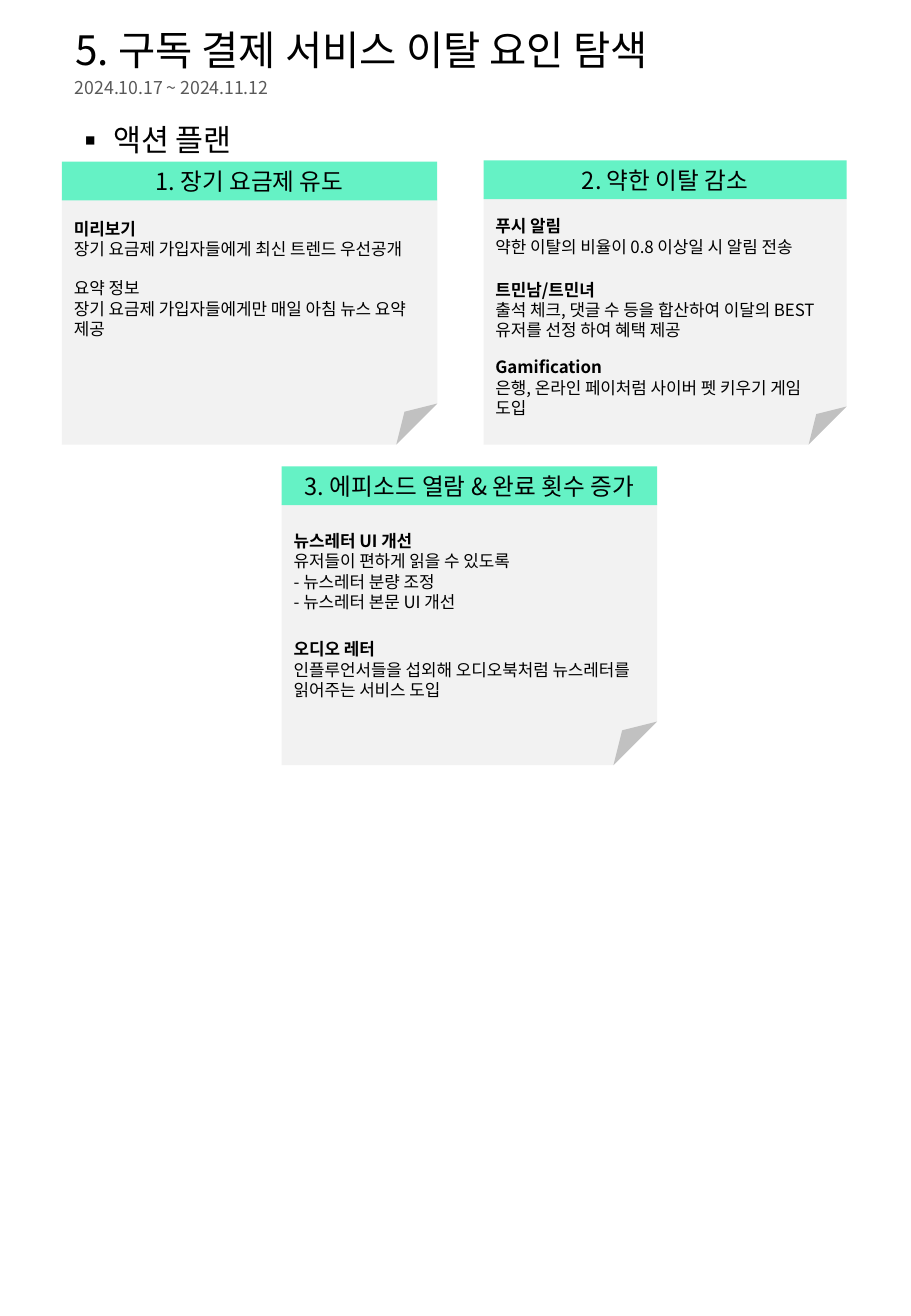
from collections import namedtuple
from dataclasses import dataclass

from lxml import etree
from pptx import Presentation
from pptx.dml.color import RGBColor
from pptx.enum import shapes, text
from pptx.oxml import ns
from pptx.util import Pt

Box = namedtuple("Box", "left top width height")
Note = namedtuple("Note", "offset heading lines bold", defaults=(True,))
Card = namedtuple("Card", "box title notes fold", defaults=(16667,))


@dataclass(frozen=True)
class Theme:
    font: str = "Noto Sans CJK KR"
    ink: str = "000000"
    muted: str = "595959"
    accent: str = "65F2C5"
    paper: str = "F2F2F2"
    title: float = 24
    section: float = 18
    header: float = 14
    date: float = 10.5
    note: float = 10


THEME = Theme()
HEADER_HEIGHT = 23

CARDS = [
    Card(Box(36.7, 95.8, 222.5, 167.7), "1. 장기 요금제 유도", [
        Note(30.2, "미리보기", ["장기 요금제 가입자들에게 최신 트렌드 우선공개"]),
        Note(65.5, "요약 정보",
             ["장기 요금제 가입자들에게만 매일 아침 뉴스 요약 제공"], False),
    ]),
    Card(Box(286.6, 95, 215.3, 168.5), "2. 약한 이탈 감소", [
        Note(29.5, "푸시 알림", ["약한 이탈의 비율이 0.8 이상일 시 알림 전송"]),
        Note(67, "트민남/트민녀",
             ["출석 체크, 댓글 수 등을 합산하여 이달의 BEST 유저를 선정 하여 혜택 제공"]),
        Note(113, "Gamification",
             ["은행, 온라인 페이처럼 사이버 펫 키우기 게임 도입"]),
    ], 15400),
    Card(Box(167, 276.5, 222.5, 177.1), "3. 에피소드 열람 & 완료 횟수 증가", [
        Note(34.6, "뉴스레터 UI 개선",
             ["유저들이 편하게 읽을 수 있도록", "- 뉴스레터 분량 조정",
              "- 뉴스레터 본문 UI 개선"]),
        Note(98.6, "오디오 레터",
             ["인플루언서들을 섭외해 오디오북처럼 뉴스레터를 읽어주는 서비스 도입"]),
    ]),
]


def in_points(box):
    return [Pt(length) for length in box]


def place(shape, box):
    shape.left, shape.top, shape.width, shape.height = in_points(box)


def style(para, size, color=THEME.ink, bold=False, align=text.PP_ALIGN.LEFT):
    """Format a paragraph and its runs, for Latin and Korean letters alike."""
    para.alignment = align
    para.space_before = Pt(0)
    for span in para.runs:
        span.font.name = THEME.font
        span.font.size = Pt(size)
        span.font.bold = bold
        span.font.color.rgb = RGBColor.from_string(color)
        east_asian = etree.SubElement(span.font._element, ns.qn("a:ea"))
        east_asian.set("typeface", THEME.font)


def add_bullet(para, char, indent):
    properties = para._p.get_or_add_pPr()
    properties.set("marL", str(Pt(indent)))
    properties.set("indent", str(-Pt(indent)))
    for tag, name, value in (("a:buFont", "typeface", THEME.font),
                             ("a:buChar", "char", char)):
        etree.SubElement(properties, ns.qn(tag)).set(name, value)


def set_fold(sheet, fold):
    """Set the size of the folded corner, in 1/100000 of the shorter side."""
    geometry = sheet._element.spPr.find(ns.qn("a:prstGeom"))
    guides = geometry.find(ns.qn("a:avLst"))
    if guides is None:
        guides = etree.SubElement(geometry, ns.qn("a:avLst"))
    guide = etree.SubElement(guides, ns.qn("a:gd"))
    guide.set("name", "adj")
    guide.set("fmla", f"val {fold}")


def add_panel(page, kind, box, color):
    panel = page.shapes.add_shape(kind, *in_points(box))
    panel.shadow.inherit = False
    panel.fill.solid()
    panel.fill.fore_color.rgb = RGBColor.from_string(color)
    panel.line.fill.background()
    return panel


def add_text(page, box, lines):
    frame = page.shapes.add_textbox(*in_points(box)).text_frame
    frame.word_wrap = True
    frame.text = "\n".join(lines)
    return frame.paragraphs


def add_heading(page, box):
    """Fill the top of the page: title, date and section line."""
    title = page.shapes.title
    place(title, box._replace(height=62))
    title.text_frame.text = "5. 구독 결제 서비스 이탈 요인 탐색"
    title.text_frame.vertical_anchor = text.MSO_ANCHOR.MIDDLE
    title.text_frame.auto_size = text.MSO_AUTO_SIZE.NONE
    title_para = title.text_frame.paragraphs[0]
    title_para.line_spacing = 0.9
    style(title_para, THEME.title)

    section = page.placeholders[1]
    place(section, Box(box.left, box.top + 68.4, box.width, 29))
    section.text_frame.text = "액션 플랜"
    section.text_frame.auto_size = text.MSO_AUTO_SIZE.NONE
    section_para = section.text_frame.paragraphs[0]
    add_bullet(section_para, "▪", 22.5)
    style(section_para, THEME.section)

    date_box = Box(box.left, box.top + 41.8, 319, 20.9)
    date_para = add_text(page, date_box, ["2024.10.17 ~ 2024.11.12"])[0]
    style(date_para, THEME.date, THEME.muted)


def add_card(page, card):
    """Place a folded sheet under a header bar, with its notes."""
    box = card.box
    sheet_box = Box(box.left, box.top + HEADER_HEIGHT - 1, box.width,
                    box.height - HEADER_HEIGHT + 1)
    sheet = add_panel(page, shapes.MSO_SHAPE.FOLDED_CORNER, sheet_box, THEME.paper)
    set_fold(sheet, card.fold)

    header = add_panel(page, shapes.MSO_SHAPE.RECTANGLE,
                       box._replace(height=HEADER_HEIGHT), THEME.accent)
    header.text_frame.text = card.title
    header.text_frame.vertical_anchor = text.MSO_ANCHOR.MIDDLE
    style(header.text_frame.paragraphs[0], THEME.header, align=text.PP_ALIGN.CENTER)

    for note in card.notes:
        lines = [note.heading, *note.lines]
        note_box = Box(box.left, box.top + note.offset, box.width,
                       7.2 + 12.2 * len(lines))
        heading, *body = add_text(page, note_box, lines)
        style(heading, THEME.note, bold=note.bold)
        for para in body:
            style(para, THEME.note)


def main():
    deck = Presentation()
    deck.slide_width, deck.slide_height = Pt(540), Pt(780)
    page = deck.slides.add_slide(deck.slide_layouts[1])
    add_heading(page, Box(37.4, 0, 465.8, 97.4))
    for card in CARDS:
        add_card(page, card)
    deck.save("out.pptx")


if __name__ == "__main__":
    main()
